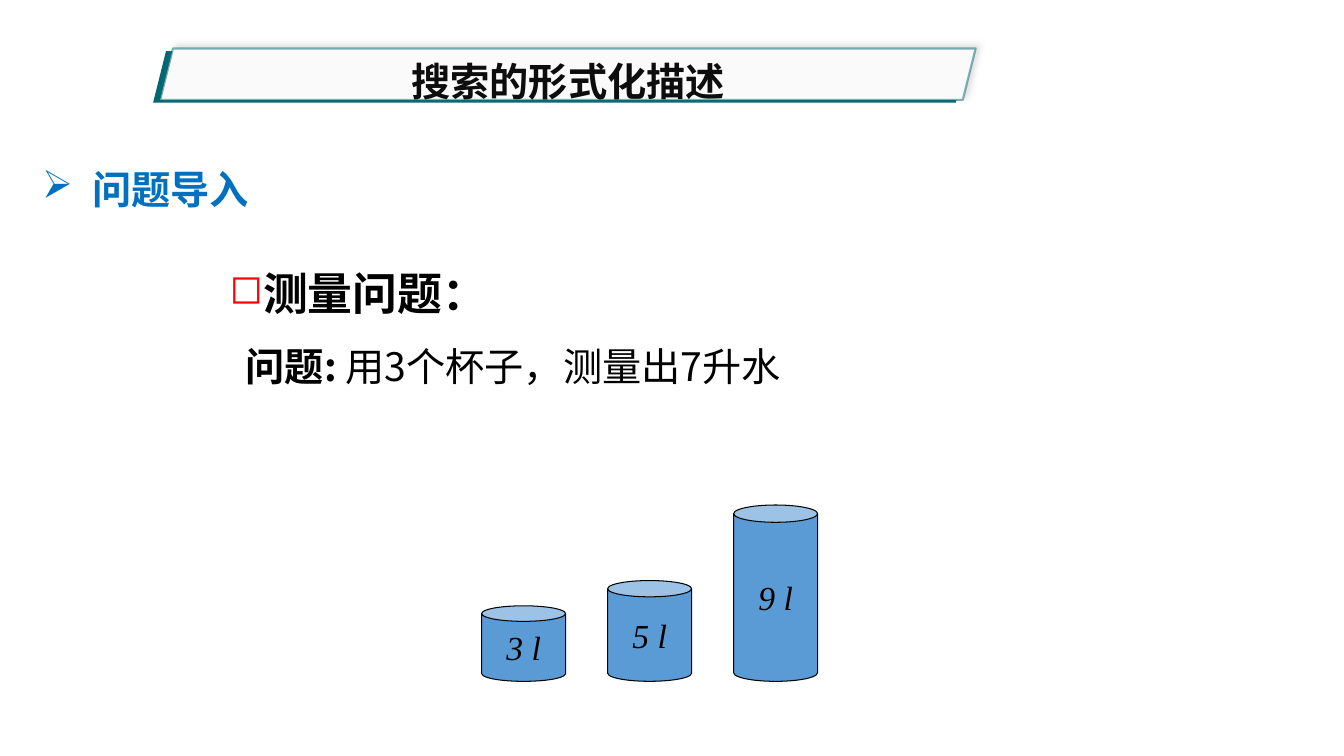
from lxml import etree
from pptx import Presentation
from pptx.dml.color import RGBColor
from pptx.enum import shapes, text
from pptx.oxml import ns
from pptx.util import Pt

COLORS = {
    "teal": "016773", "plate": "FAFAFA", "shade": "AFABAB", "title": "0D0D0D",
    "heading": "0070C0", "ink": "000000", "marker": "FF0000", "water": "5B9BD5",
}
SANS = "Noto Sans CJK SC"
SERIF = "Times New Roman"
CUPS = [("3 l", 54, 0.206), ("5 l", 72, 0.194), ("9 l", 126, 0.206)]


def rgb(name):
    """Return the named colour."""
    return RGBColor.from_string(COLORS[name])


def add_element(parent, tag, **values):
    """Append a drawing element with the given attributes."""
    element = etree.SubElement(parent, ns.qn(f"a:{tag}"))
    for key, value in values.items():
        element.set(key, str(value))
    return element


def add_words(paragraph, words, color, face=SANS, **formats):
    """Add a run in the given face, colour and font format."""
    run = paragraph.add_run()
    run.text = words
    for key, value in {"name": face, **formats}.items():
        setattr(run.font, key, value)
    run.font.color.rgb = rgb(color)
    add_element(run.font._element, "ea", typeface=SANS)


def add_bullet(paragraph, mark, color=None, percent=100, hang=0):
    """Give a paragraph a bullet with a hanging indent."""
    properties = paragraph._p.get_or_add_pPr()
    properties.set("marL", str(Pt(hang)))
    properties.set("indent", str(Pt(-hang)))
    if color:
        add_element(add_element(properties, "buClr"), "srgbClr", val=COLORS[color])
    add_element(properties, "buSzPct", val=percent * 1000)
    add_element(properties, "buChar", char=mark)


def add_preset(parent, kind, box, fill, adjustment=None):
    """Add a filled preset shape without line or shadow."""
    preset = parent.shapes.add_shape(kind, *map(Pt, box))
    preset.shadow.inherit = False
    preset.fill.solid()
    preset.fill.fore_color.rgb = rgb(fill)
    preset.line.fill.background()
    if adjustment is not None:
        preset.adjustments[0] = adjustment
    return preset


def set_line(preset, color, width):
    """Outline a shape."""
    preset.line.color.rgb = rgb(color)
    preset.line.width = Pt(width)


def build_banner(slide, left, top, width, height):
    """Place the title on two slanted plates."""
    plates = slide.shapes.add_group_shape()
    slant = shapes.MSO_SHAPE.PARALLELOGRAM
    add_preset(plates, slant, (left, top + 2, width - 5, height), "teal")
    front = add_preset(plates, slant, (left + 5, top, width - 5, height), "plate")
    set_line(front, "teal", 1.5)
    line_color = front.line._ln.find(".//" + ns.qn("a:srgbClr"))
    add_element(line_color, "alpha", val=50000)
    effects = front._element.spPr.find(ns.qn("a:effectLst"))
    shadow = add_element(effects, "outerShdw", blurRad=Pt(4), dist=Pt(3),
                         dir=315 * 60000, algn="bl", rotWithShape=0)
    shade = add_element(shadow, "srgbClr", val=COLORS["shade"])
    add_element(shade, "alpha", val=40000)

    title = slide.shapes.title
    title.left, title.top = Pt(left + 26.7), Pt(top + 2.9)
    title.width, title.height = Pt(width - 48), Pt(41)
    frame = title.text_frame
    for key, value in {"auto_size": text.MSO_AUTO_SIZE.NONE, "word_wrap": True,
                       "vertical_anchor": text.MSO_ANCHOR.MIDDLE}.items():
        setattr(frame, key, value)
    paragraph = frame.paragraphs[0]
    paragraph.alignment = text.PP_ALIGN.CENTER
    add_words(paragraph, "搜索的形式化描述", "title", SERIF, size=Pt(28), bold=True)
    slide.shapes._spTree.append(title._element)


def add_text(slide, box, **formats):
    """Add a text box and return its first paragraph."""
    frame = slide.shapes.add_textbox(*map(Pt, box)).text_frame
    for key, value in formats.items():
        setattr(frame, key, value)
    return frame.paragraphs[0]


def build_heading(slide, left, top, width, height):
    """Place the section heading."""
    heading = add_text(slide, (left, top, width, height), word_wrap=False,
                       vertical_anchor=text.MSO_ANCHOR.MIDDLE)
    add_bullet(heading, "➢", hang=36)
    add_words(heading, "问题导入", "heading", size=Pt(28), bold=True)


def build_problem(slide, left, top, width, height):
    """Place the problem name and its statement."""
    name = add_text(slide, (left, top, 202.3, 46), word_wrap=False,
                    vertical_anchor=text.MSO_ANCHOR.MIDDLE)
    add_bullet(name, "◻", "marker", 90)
    add_words(name, "测量问题：", "ink", size=Pt(32), bold=True)

    statement = add_text(slide, (left + 11.5, top + 62.6, width - 11.5, height - 62.6),
                         word_wrap=True, margin_top=0)
    statement.line_spacing = 0.9
    add_words(statement, "问题: ", "ink", size=Pt(28), bold=True)
    add_words(statement, "用3个杯子，测量出7升水", "ink", size=Pt(28), bold=False)


def build_cups(slide, left, top, width, height):
    """Stand the cups on a common base at equal steps."""
    cups = slide.shapes.add_group_shape()
    cup_width = width / 4
    step = (width - cup_width) / (len(CUPS) - 1)
    for index, (volume, cup_height, rim) in enumerate(CUPS):
        box = (left + index * step, top + height - cup_height, cup_width, cup_height)
        cup = add_preset(cups, shapes.MSO_SHAPE.CAN, box, "water", rim)
        set_line(cup, "ink", 0.75)
        frame = cup.text_frame
        frame.word_wrap = False
        frame.vertical_anchor = text.MSO_ANCHOR.MIDDLE
        label = frame.paragraphs[0]
        label.alignment = text.PP_ALIGN.CENTER
        add_words(label, volume, "ink", SERIF, size=Pt(24), italic=True)


def main():
    """Build and save the slide."""
    deck = Presentation()
    deck.slide_width, deck.slide_height = Pt(960), Pt(540)
    slide = deck.slides.add_slide(deck.slide_layouts[5])
    build_heading(slide, 23, 114.5, 164, 41)
    build_cups(slide, 344, 360.7, 240, 126)
    build_problem(slide, 157, 185.8, 676, 118.8)
    build_banner(slide, 109.4, 34.6, 587.5, 36.7)
    deck.save("out.pptx")


if __name__ == "__main__":
    main()
